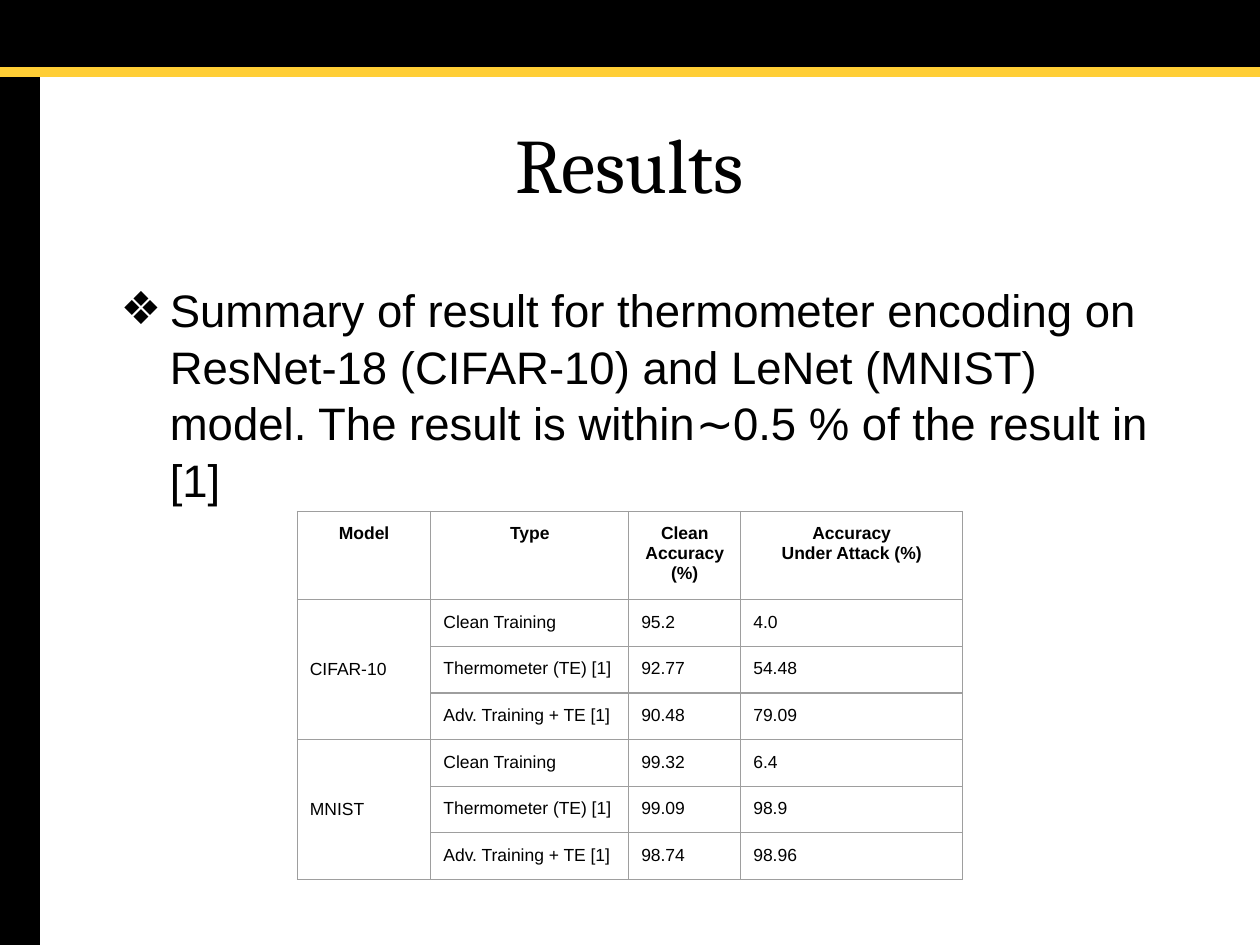
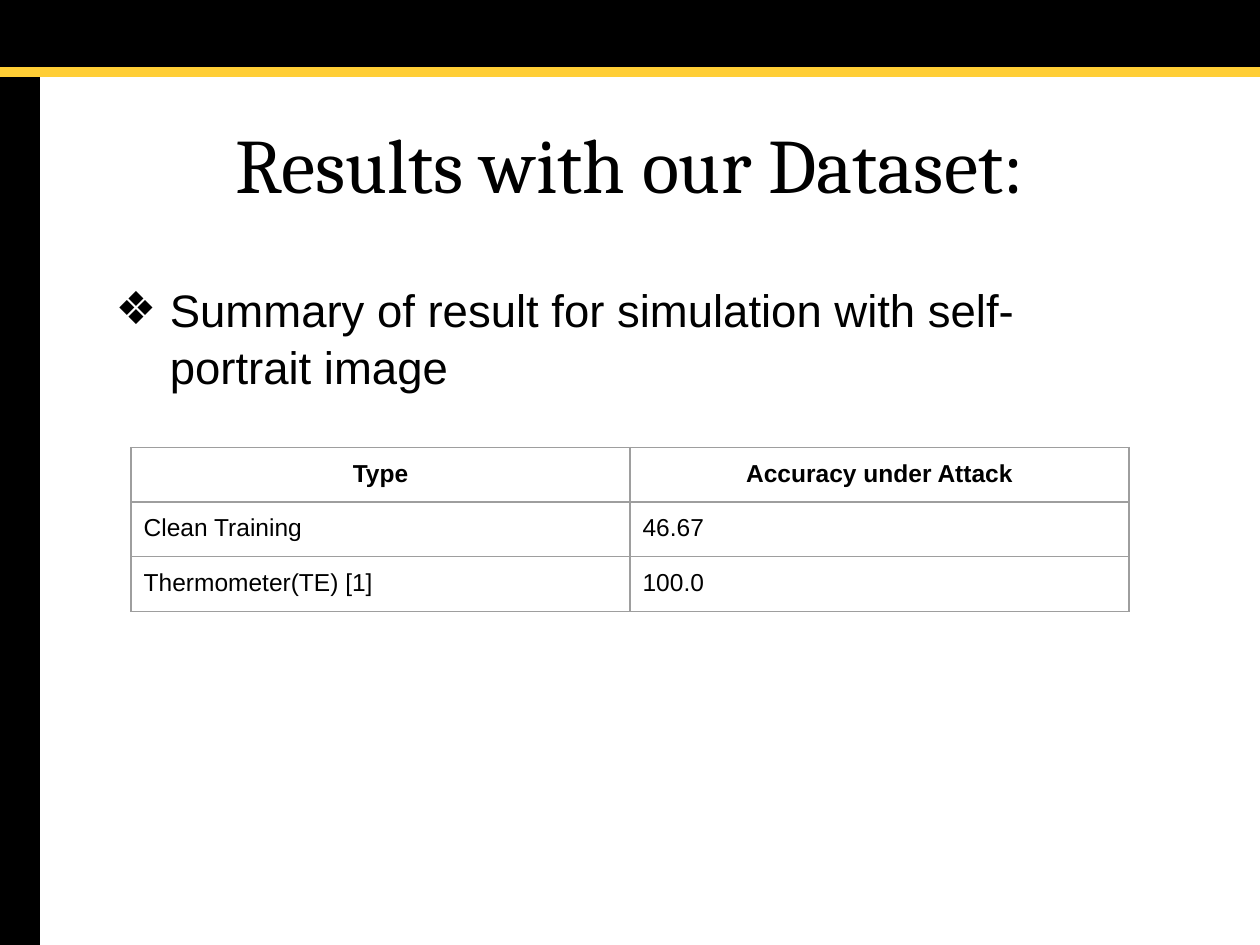
from dataclasses import dataclass
from typing import Optional

from lxml import etree
from pptx import Presentation
from pptx.dml.color import RGBColor
from pptx.enum.shapes import MSO_CONNECTOR, MSO_SHAPE
from pptx.enum.text import MSO_ANCHOR, MSO_AUTO_SIZE, PP_ALIGN
from pptx.oxml.ns import qn
from pptx.util import Inches, Pt

RECTANGLE = MSO_SHAPE.RECTANGLE
STRAIGHT = MSO_CONNECTOR.STRAIGHT
CENTER, LEFT = PP_ALIGN.CENTER, PP_ALIGN.LEFT
MIDDLE, TOP = MSO_ANCHOR.MIDDLE, MSO_ANCHOR.TOP
NO_AUTOFIT = MSO_AUTO_SIZE.NONE

BLACK, GOLD, GRAY = "000000", "FFCE36", "9E9E9E"
TITLE_FONT, BODY_FONT = "Cambria", "Arial"
TITLE_ONLY = 5
SLIDE_WIDTH, SLIDE_HEIGHT = 10, 7.5
TEXT_LEFT, TEXT_WIDTH = 0.75, 8.5
CELL_MARGIN = 0.1


@dataclass(frozen=True)
class Band:
    width: float
    height: float


@dataclass(frozen=True)
class ResultTable:
    left: float
    top: float
    column_widths: tuple[float, ...]
    header_height: float
    row_height: float
    font_size: int
    rows: tuple[tuple[Optional[str], ...], ...]


@dataclass(frozen=True)
class ResultSlide:
    title: str
    summary: str
    bullet_hang: float
    table: ResultTable


BANDS = (Band(SLIDE_WIDTH, 0.54), Band(0.31, SLIDE_HEIGHT))

RESULT_SLIDES = (
    ResultSlide(
        "Results",
        "Summary of result for thermometer encoding on ResNet-18 (CIFAR-10) and "
        "LeNet (MNIST) model. The result is within∼0.5 % of the result in [1]",
        0.39,
        ResultTable(2.36, 4.06, (1.06, 1.57, 0.89, 1.76), 0.66, 0.37, 10, (
            ("Model", "Type", "Clean Accuracy (%)", "Accuracy\nUnder Attack (%)"),
            ("CIFAR-10", "Clean Training", "95.2", "4.0"),
            (None, "Thermometer (TE) [1]", "92.77", "54.48"),
            (None, "Adv. Training + TE [1]", "90.48", "79.09"),
            ("MNIST", "Clean Training", "99.32", "6.4"),
            (None, "Thermometer (TE) [1]", "99.09", "98.9"),
            (None, "Adv. Training + TE [1]", "98.74", "98.96"),
        )),
    ),
    ResultSlide(
        "Results with our Dataset:",
        "Summary of result for simulation with self-portrait image",
        0.43,
        ResultTable(1.04, 3.55, (3.96, 3.96), 0.42, 0.42, 14, (
            ("Type", "Accuracy under Attack"),
            ("Clean Training", "46.67"),
            ("Thermometer(TE) [1]", "100.0"),
        )),
    ),
)


def color(value: str) -> RGBColor:
    """Turn a hex string into a colour."""
    return RGBColor.from_string(value)


def format_font(paragraph, name: str, size: int, bold: bool = False) -> None:
    """Set the font of a whole paragraph."""
    font = paragraph.font
    font.name, font.size, font.bold = name, Pt(size), bold
    font.color.rgb = color(BLACK)


def draw_frame(slide) -> None:
    """Draw the black bands and the gold rule."""
    for band in BANDS:
        shape = slide.shapes.add_shape(
            RECTANGLE, 0, 0, Inches(band.width), Inches(band.height))
        shape.shadow.inherit = False
        shape.fill.solid()
        shape.fill.fore_color.rgb = color(BLACK)
        shape.line.color.rgb = color(BLACK)
        shape.line.width = Pt(0.75)
    rule_top = Inches(0.57)
    rule = slide.shapes.add_connector(
        STRAIGHT, 0, rule_top, Inches(SLIDE_WIDTH), rule_top)
    rule.line.color.rgb = color(GOLD)
    rule.line.width = Pt(6)
    etree.SubElement(rule._element.spPr, qn("a:effectLst"))


def write_title(slide, text: str) -> None:
    """Place and format the title placeholder."""
    title = slide.shapes.title
    title.left, title.top = Inches(TEXT_LEFT), Inches(0.67)
    title.width, title.height = Inches(TEXT_WIDTH), Inches(1.25)
    frame = title.text_frame
    frame.text = text
    frame.auto_size = NO_AUTOFIT
    frame.vertical_anchor = MIDDLE
    paragraph = frame.paragraphs[0]
    paragraph.alignment = CENTER
    format_font(paragraph, TITLE_FONT, 44)


def write_summary(slide, text: str, hang: float) -> None:
    """Write the bulleted summary with a hanging indent."""
    box = slide.shapes.add_textbox(
        Inches(TEXT_LEFT), Inches(2.17), Inches(TEXT_WIDTH), Inches(4.5))
    frame = box.text_frame
    frame.word_wrap = True
    frame.text = text
    paragraph = frame.paragraphs[0]
    paragraph.line_spacing = 1.04
    properties = paragraph._p.get_or_add_pPr()
    properties.set("marL", str(Inches(0.5)))
    properties.set("indent", str(-Inches(hang)))
    etree.SubElement(properties, qn("a:buFont"), typeface=BODY_FONT)
    etree.SubElement(properties, qn("a:buChar"), char="❖")
    format_font(paragraph, BODY_FONT, 26)


def draw_borders(cell) -> None:
    """Give a cell a thin gray line on all four sides."""
    properties = cell._tc.get_or_add_tcPr()
    for side in ("lnL", "lnR", "lnT", "lnB"):
        line = etree.SubElement(properties, qn(f"a:{side}"), w=str(Pt(0.75)))
        fill = etree.SubElement(line, qn("a:solidFill"))
        etree.SubElement(fill, qn("a:srgbClr"), val=GRAY)


def format_cell(cell, text: str, size: int, header: bool, anchor) -> None:
    """Fill one cell with text, margins and borders."""
    cell.text = text
    cell.margin_left = cell.margin_right = Inches(CELL_MARGIN)
    cell.margin_top = cell.margin_bottom = Inches(CELL_MARGIN)
    cell.vertical_anchor = anchor
    draw_borders(cell)
    cell.fill.background()
    for paragraph in cell.text_frame.paragraphs:
        paragraph.alignment = CENTER if header else LEFT
        format_font(paragraph, BODY_FONT, size, header)


def draw_table(slide, content: ResultTable) -> None:
    """Draw a result table, merging each empty cell into the one above."""
    row_count, column_count = len(content.rows), len(content.column_widths)
    height = content.header_height + content.row_height * (row_count - 1)
    table = slide.shapes.add_table(
        row_count, column_count, Inches(content.left), Inches(content.top),
        Inches(sum(content.column_widths)), Inches(height)).table
    table.first_row = table.horz_banding = False
    for column, width in zip(table.columns, content.column_widths):
        column.width = Inches(width)
    group_starts = {}
    for row_index, texts in enumerate(content.rows):
        header = row_index == 0
        table.rows[row_index].height = Inches(
            content.header_height if header else content.row_height)
        for column_index, text in enumerate(texts):
            if text is not None:
                group_starts[column_index] = row_index
            next_row = content.rows[min(row_index + 1, row_count - 1)]
            spans = text is not None and next_row[column_index] is None
            format_cell(table.cell(row_index, column_index), text or "",
                        content.font_size, header, MIDDLE if spans else TOP)
            last_in_group = row_index + 1 == row_count or next_row[column_index] is not None
            if text is None and last_in_group:
                start = table.cell(group_starts[column_index], column_index)
                start.merge(table.cell(row_index, column_index))


def main() -> None:
    """Build and save the presentation."""
    presentation = Presentation()
    presentation.slide_width = Inches(SLIDE_WIDTH)
    presentation.slide_height = Inches(SLIDE_HEIGHT)
    for content in RESULT_SLIDES:
        slide = presentation.slides.add_slide(presentation.slide_layouts[TITLE_ONLY])
        draw_frame(slide)
        write_title(slide, content.title)
        write_summary(slide, content.summary, content.bullet_hang)
        draw_table(slide, content.table)
    presentation.save("out.pptx")


if __name__ == "__main__":
    main()
